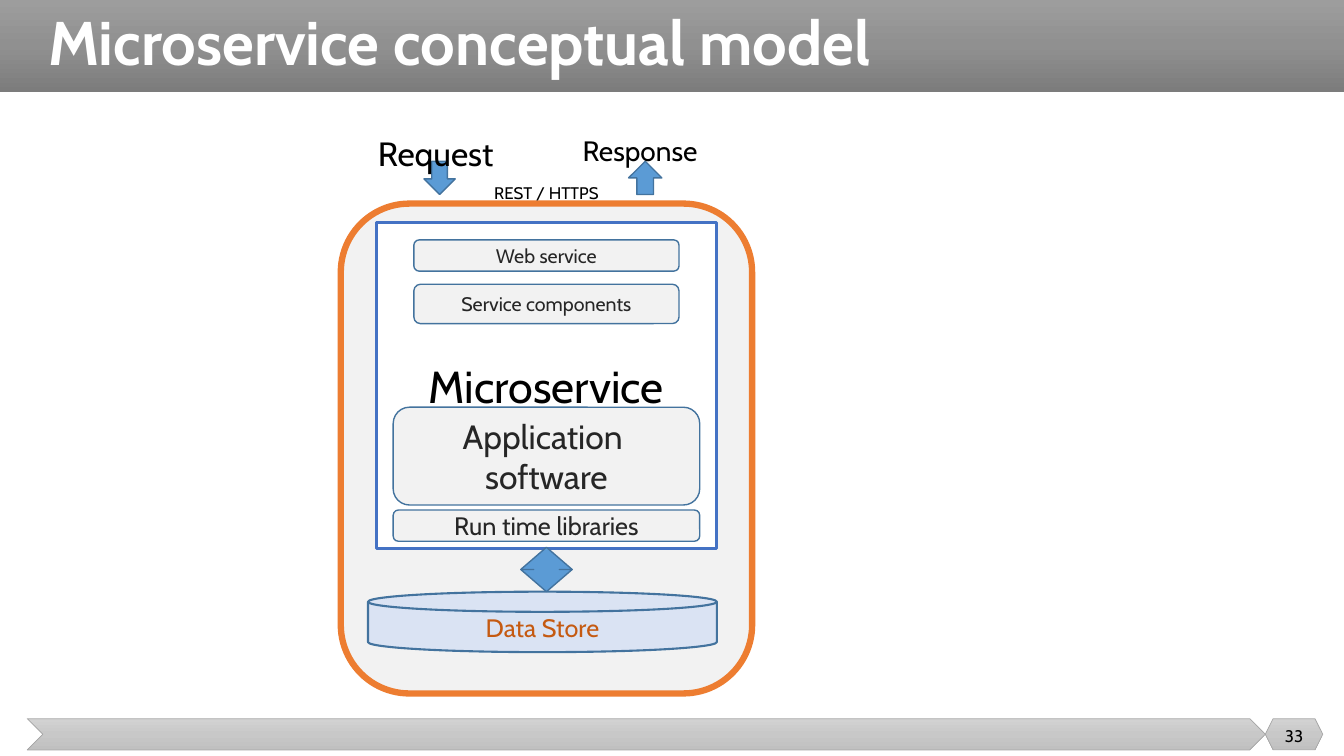
from copy import deepcopy

from pptx import Presentation
from pptx.dml.color import RGBColor
from pptx.enum.shapes import MSO_SHAPE as Preset
from pptx.enum.text import MSO_ANCHOR as Anchor, PP_ALIGN as Align
from pptx.oxml.ns import qn
from pptx.util import Inches, Pt

WIDTH, HEIGHT = 13.33, 7.5
AXIS = 5.42  # centre line of the model
FONT = "Cabin"
COLORS = {
    "white": "FFFFFF", "black": "000000", "ink": "262626", "rust": "C55A11",
    "panel": "F2F2F2", "orange": "ED7D31", "royal": "4472C4", "steel": "43739E",
    "sky": "5B9BD5", "ice": "DAE3F3", "rim": "A5A5A5",
}
GRADIENTS = {
    "header": ("9D9D9D", "909090", "7C7C7C"),
    "footer": ("D2D2D2", "C8C8C8", "C0C0C0"),
}

# Master bands: preset, (left, top, width, height), gradient, line colour
BANDS = [
    (Preset.RECTANGLE, (0, 0, WIDTH, 0.91), "header", None),
    (Preset.CHEVRON, (0.27, 7.13, 12.28, 0.31), "footer", "rim"),
    (Preset.HEXAGON, (12.55, 7.13, 0.57, 0.31), "footer", "rim"),
]

# Model parts: preset, (centre, top, width, height), fill, line, line width, text, size, ink
BOX = ("panel", "steel", 1)
ARROW = ("sky", "steel", 1, "", 0, "")
PARTS = [
    (Preset.ROUNDED_RECTANGLE, (AXIS, 2.02, 4.08, 4.86), "panel", "orange", 4.5, "", 0, ""),
    (Preset.RECTANGLE, (AXIS, 2.21, 3.37, 3.23), "white", "royal", 2.5,
     "Microservice", 32, "black"),
    (Preset.FLOWCHART_MAGNETIC_DISK, (5.38, 5.87, 3.46, 0.6), "ice", "steel", 1.5,
     "Data Store", 18, "rust"),
    (Preset.UP_DOWN_ARROW, (AXIS, 5.43, 0.51, 0.44), *ARROW),
    (Preset.UP_ARROW, (6.4, 1.6, 0.33, 0.33), *ARROW),
    (Preset.DOWN_ARROW, (4.36, 1.6, 0.31, 0.33), *ARROW),
    (Preset.ROUNDED_RECTANGLE, (AXIS, 2.38, 2.63, 0.31), *BOX, "Web service", 14, "ink"),
    (Preset.ROUNDED_RECTANGLE, (AXIS, 2.82, 2.63, 0.39), *BOX, "Service components", 14, "ink"),
    (Preset.ROUNDED_RECTANGLE, (AXIS, 4.04, 3.04, 0.97), *BOX,
     "Application \vsoftware", 24, "ink"),
    (Preset.ROUNDED_RECTANGLE, (AXIS, 5.06, 3.04, 0.31), *BOX, "Run time libraries", 18, "ink"),
]

# Labels: text, (left, top, width, height), size, ink, wrap, paragraph format, anchor, bold
LABELS = [
    ("Microservice conceptual model", (0.38, 0, 12.74, 0.91), 44, "white", True,
     {"alignment": Align.LEFT, "line_spacing": 0.9}, Anchor.MIDDLE, True),
    ("Request", (3.65, 1.27, 1.38, 0.5), 24, "black", False,
     {"alignment": Align.LEFT}, Anchor.TOP, False),
    ("Response", (5.68, 1.28, 1.36, 0.44), 20, "black", False,
     {"alignment": Align.LEFT}, Anchor.TOP, False),
    ("REST / HTTPS", (4.27, 1.76, 2.3, 0.3), 12, "black", True,
     {"alignment": Align.CENTER}, Anchor.TOP, False),
    ("33", (12.55, 7.1, 0.57, 0.4), 12, "black", True,
     {"alignment": Align.CENTER}, Anchor.MIDDLE, False),
]


def color(name):
    return RGBColor.from_string(COLORS[name])


def write(shape, text, size, ink, wrap=True, layout=None, anchor=Anchor.MIDDLE, bold=False):
    frame = shape.text_frame
    frame.word_wrap = wrap
    frame.vertical_anchor = anchor
    para = frame.paragraphs[0]
    para.text = text
    for name, value in (layout or {"alignment": Align.CENTER}).items():
        setattr(para, name, value)
    for span in para.runs:
        for name, value in {"name": FONT, "size": Pt(size), "bold": bold}.items():
            setattr(span.font, name, value)
        span.font.color.rgb = color(ink)


def add_preset(page, preset, area, line, line_width):
    shape = page.shapes.add_shape(preset, *map(Inches, area))
    shape.shadow.inherit = False
    if line:
        shape.line.color.rgb = color(line)
        shape.line.width = Pt(line_width)
    else:
        shape.line.fill.background()
    return shape


def fill_gradient(shape, shades):
    """Fill from top to bottom with evenly spaced shades."""
    fill = shape.fill
    fill.gradient()
    fill.gradient_angle = 270
    stops = shape.element.spPr.find(qn("a:gradFill")).find(qn("a:gsLst"))
    while len(stops) < len(shades):
        stops.append(deepcopy(stops[-1]))
    for index, (stop, shade) in enumerate(zip(fill.gradient_stops, shades)):
        stop.position = index / (len(shades) - 1)
        stop.color.rgb = RGBColor.from_string(shade)


def main():
    deck = Presentation()
    deck.slide_width, deck.slide_height = Inches(WIDTH), Inches(HEIGHT)
    page = deck.slides.add_slide(deck.slide_layouts[6])

    for preset, area, gradient, line in BANDS:
        fill_gradient(add_preset(page, preset, area, line, 0.5), GRADIENTS[gradient])

    for preset, (centre, top, width, height), fill, line, line_width, *words in PARTS:
        area = (centre - width / 2, top, width, height)
        shape = add_preset(page, preset, area, line, line_width)
        shape.fill.solid()
        shape.fill.fore_color.rgb = color(fill)
        if words[0]:
            write(shape, *words)

    for text, area, *style in LABELS:
        write(page.shapes.add_textbox(*map(Inches, area)), text, *style)

    deck.save("out.pptx")


if __name__ == "__main__":
    main()
